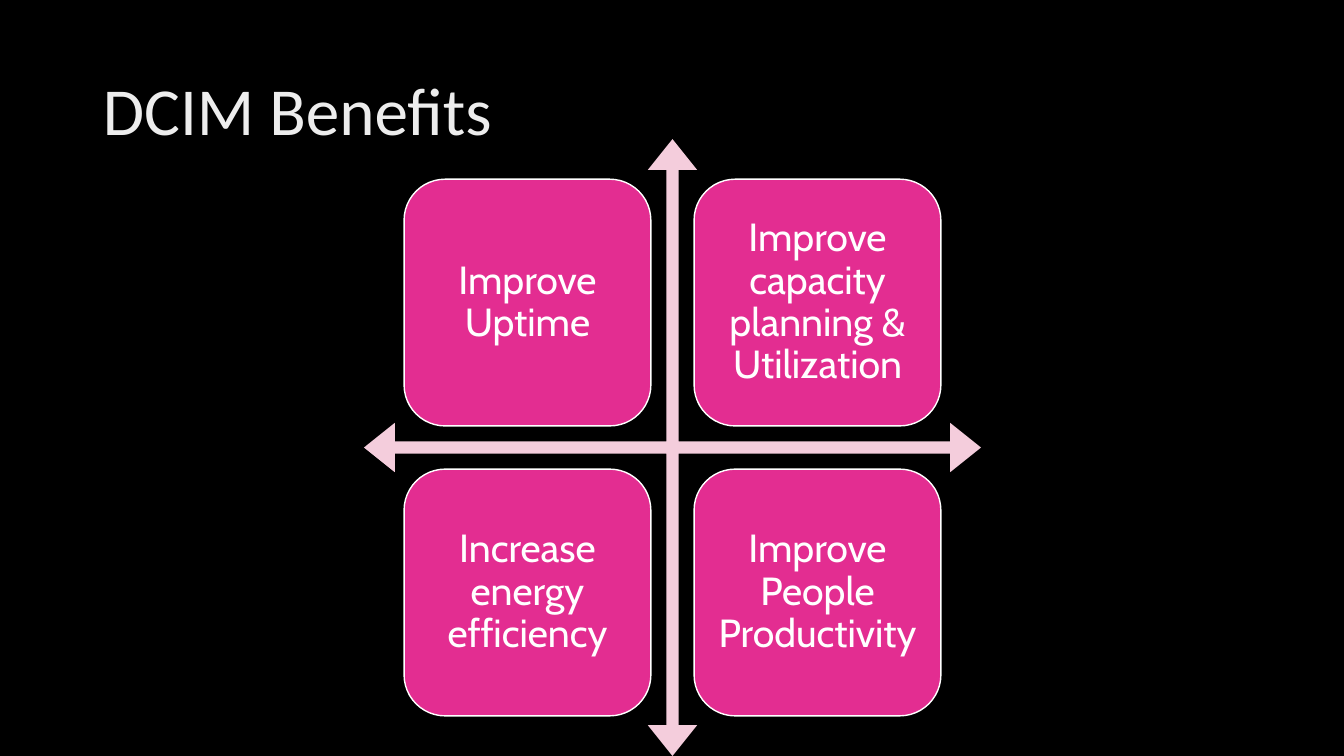
from pptx import Presentation
from pptx.dml.color import RGBColor
from pptx.enum import shapes, text
from pptx.util import Inches, Pt

BENEFITS = [
    ["Improve Uptime", "Improve capacity planning & Utilization"],
    ["Increase energy efficiency", "Improve People Productivity"],
]


def paint(fill, color):
    """Give a fill one solid hex colour."""
    fill.solid()
    fill.fore_color.rgb = RGBColor.from_string(color)


def write(tf, words, font, size, color, align):
    """Write one paragraph, centred vertically in its frame."""
    tf.word_wrap = True
    tf.auto_size = text.MSO_AUTO_SIZE.NONE
    tf.vertical_anchor = text.MSO_ANCHOR.MIDDLE
    p = tf.paragraphs[0]
    p.alignment = align
    p.line_spacing = 0.9
    r = p.add_run()
    r.text = words
    r.font.name = font
    r.font.size = Pt(size)
    paint(r.font.fill, color)


def add_title(s, words, left, top, width, height):
    """Place the slide title in its box."""
    sp = s.shapes.title
    sp.left, sp.top = Inches(left), Inches(top)
    sp.width, sp.height = Inches(width), Inches(height)
    write(sp.text_frame, words, "Calibri", 48, "EDEDED", text.PP_ALIGN.LEFT)


def add_block(s, kind, left, top, side, color):
    """Add a square preset shape without line or shadow."""
    sp = s.shapes.add_shape(kind, Inches(left), Inches(top),
                            Inches(side), Inches(side))
    sp.shadow.inherit = False
    paint(sp.fill, color)
    sp.line.fill.background()
    return sp


def add_matrix(s, benefits, left, top, side):
    """Draw the four-way arrow with a benefit tile in each quadrant."""
    arrow = add_block(s, shapes.MSO_SHAPE.QUAD_ARROW, left, top, side, "F4CDDC")
    for i, ratio in enumerate((0.02, 0.04, 0.05)):
        arrow.adjustments[i] = ratio
    tile, margin, step = side * 0.4, side * 0.065, side * 0.47
    for row, line in enumerate(benefits):
        for col, words in enumerate(line):
            sp = add_block(s, shapes.MSO_SHAPE.ROUNDED_RECTANGLE,
                           left + margin + col * step,
                           top + margin + row * step, tile, "E32D91")
            paint(sp.line.fill, "FFFFFF")
            sp.line.width = Pt(1)
            tf = sp.text_frame
            tf.margin_left = tf.margin_right = Inches(0.12)
            tf.margin_top = tf.margin_bottom = Inches(0.12)
            write(tf, words, "Cabin", 28, "FFFFFF", text.PP_ALIGN.CENTER)


def main():
    """Build and save the presentation."""
    prs = Presentation()
    prs.slide_width, prs.slide_height = Inches(13.33), Inches(7.5)
    s = prs.slides.add_slide(prs.slide_layouts[5])
    paint(s.background.fill, "000000")
    add_title(s, "DCIM Benefits", 0.92, 0.4, 11.5, 1.45)
    add_matrix(s, BENEFITS, 3.61, 1.38, 6.12)
    prs.save("out.pptx")


if __name__ == "__main__":
    main()
